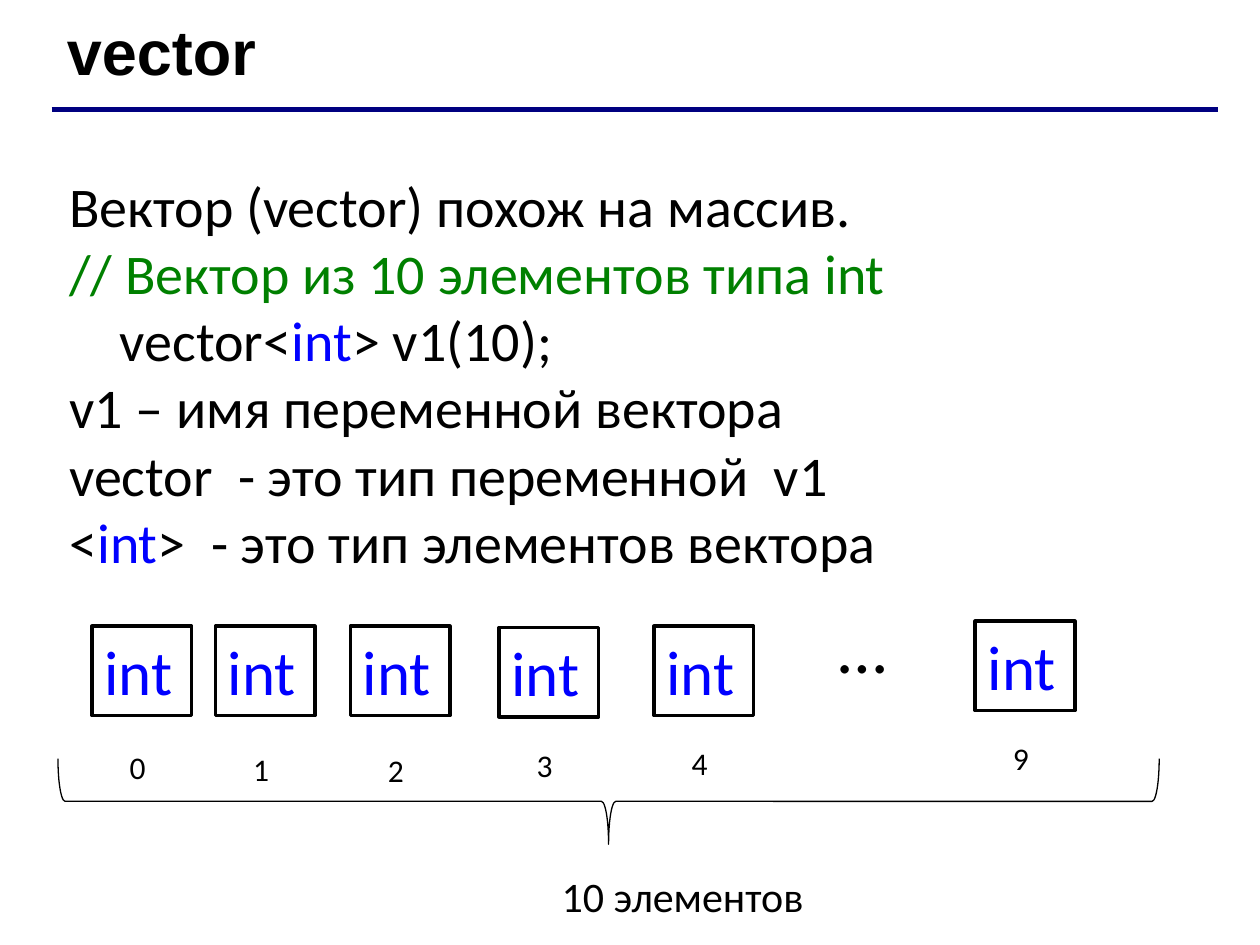
from dataclasses import dataclass
from typing import NamedTuple

from lxml.etree import SubElement
from pptx import Presentation
from pptx.dml.color import RGBColor
from pptx.enum.shapes import MSO_CONNECTOR, MSO_SHAPE
from pptx.enum.text import MSO_ANCHOR, MSO_AUTO_SIZE, PP_ALIGN
from pptx.oxml.ns import qn
from pptx.util import Inches, Length, Pt


@dataclass(frozen=True)
class Theme:
    black: str = "000000"
    white: str = "FFFFFF"
    green: str = "008000"
    blue: str = "0000FF"
    navy: str = "000080"
    head: str = "Arial"
    text: str = "Calibri"
    title: int = 36
    body: int = 32
    cell: int = 36
    index: int = 18
    dots: int = 40
    total: int = 24


class Run(NamedTuple):
    text: str
    color: str = Theme.black


class Box(NamedTuple):
    """Left, top, width and height in grid units."""
    x: float
    y: float
    w: float
    h: float


class Cell(NamedTuple):
    index: str
    x: float
    y: float
    label: float


COLS, ROWS = 100, 75
WIDTH, HEIGHT = Inches(10), Inches(7.5)
LOOK = Theme()

BODY = [
    [Run("Вектор (vector) похож на массив.")],
    [Run("// Вектор из 10 элементов типа int", LOOK.green)],
    [Run("    vector<"), Run("int", LOOK.blue), Run("> v1(10);")],
    [Run("v1 – имя переменной вектора")],
    [Run("vector  - это тип переменной  v1")],
    [Run("<"), Run("int", LOOK.blue), Run(">  - это тип элементов вектора")],
]
CELLS = [
    Cell("0", 7.3, 49.7, 58.9),
    Cell("1", 17.1, 49.7, 59.0),
    Cell("2", 27.8, 49.7, 59.1),
    Cell("3", 39.6, 49.8, 58.7),
    Cell("4", 51.9, 49.7, 58.6),
    Cell("9", 77.4, 49.3, 58.2),
]


def col(n: float) -> Length:
    return Length(round(WIDTH * n / COLS))


def row(n: float) -> Length:
    return Length(round(HEIGHT * n / ROWS))


def rect(box: Box) -> tuple[Length, Length, Length, Length]:
    return col(box.x), row(box.y), col(box.w), row(box.h)


def write(shape, lines: list[list[Run]], size: int,
          font: str = LOOK.text, bold: bool = False) -> None:
    frame = shape.text_frame
    frame.word_wrap = True
    frame.auto_size = MSO_AUTO_SIZE.NONE
    frame.vertical_anchor = MSO_ANCHOR.TOP
    for i, line in enumerate(lines):
        para = frame.add_paragraph() if i else frame.paragraphs[0]
        para.alignment = PP_ALIGN.LEFT
        para.space_before = Pt(0)
        for part in line:
            run = para.add_run()
            run.text = part.text
            run.font.name = font
            run.font.size = Pt(size)
            run.font.bold = bold
            run.font.color.rgb = RGBColor.from_string(part.color)


def place(shape, box: Box) -> None:
    shape.left, shape.top, shape.width, shape.height = rect(box)


def unlist(shape) -> None:
    """Remove bullets and hanging indents from every paragraph."""
    for para in shape.text_frame.paragraphs:
        props = para._p.get_or_add_pPr()
        props.set("marL", "0")
        props.set("indent", "0")
        SubElement(props, qn("a:buNone"))


def label(slide, box: Box, text: str, size: int) -> None:
    write(slide.shapes.add_textbox(*rect(box)), [[Run(text)]], size)


def stroke(line, color: str, width: float) -> None:
    line.color.rgb = RGBColor.from_string(color)
    line.width = Pt(width)


def rule(slide) -> None:
    line = slide.shapes.add_connector(
        MSO_CONNECTOR.STRAIGHT, col(4.1), row(8.7), col(96.7), row(8.7))
    stroke(line.line, LOOK.navy, 3)
    SubElement(line._element.spPr, qn("a:effectLst"))


def draw(slide, cell: Cell) -> None:
    box = Box(cell.x, cell.y, 7.9, 7.1)
    shape = slide.shapes.add_shape(MSO_SHAPE.RECTANGLE, *rect(box))
    shape.shadow.inherit = False
    shape.fill.solid()
    shape.fill.fore_color.rgb = RGBColor.from_string(LOOK.white)
    stroke(shape.line, LOOK.black, 2)
    write(shape, [[Run("int", LOOK.blue)]], LOOK.cell)
    label(slide, Box(cell.x + 2, cell.label, 3.9, 4), cell.index, LOOK.index)


def brace(slide) -> None:
    box = Box(44.9, 19.9, 6.8, 87.4)
    shape = slide.shapes.add_shape(MSO_SHAPE.RIGHT_BRACE, *rect(box))
    shape.rotation = 90
    shape.shadow.inherit = False
    shape.fill.background()
    stroke(shape.line, LOOK.black, 0.75)


def main() -> None:
    deck = Presentation()
    deck.slide_width, deck.slide_height = WIDTH, HEIGHT
    slide = deck.slides.add_slide(deck.slide_layouts[1])
    title, body = slide.placeholders
    rule(slide)
    place(title, Box(4.3, 0.5, 95.7, 7.1))
    write(title, [[Run("vector")]], LOOK.title, LOOK.head, True)
    place(body, Box(4.5, 13.1, 92.1, 38.7))
    write(body, BODY, LOOK.body)
    unlist(body)
    for cell in CELLS:
        draw(slide, cell)
    label(slide, Box(65.6, 47.4, 8.7, 7.7), "…", LOOK.dots)
    brace(slide)
    label(slide, Box(43.6, 68.6, 30.7, 5), "10 элементов", LOOK.total)
    deck.save("out.pptx")


if __name__ == "__main__":
    main()
